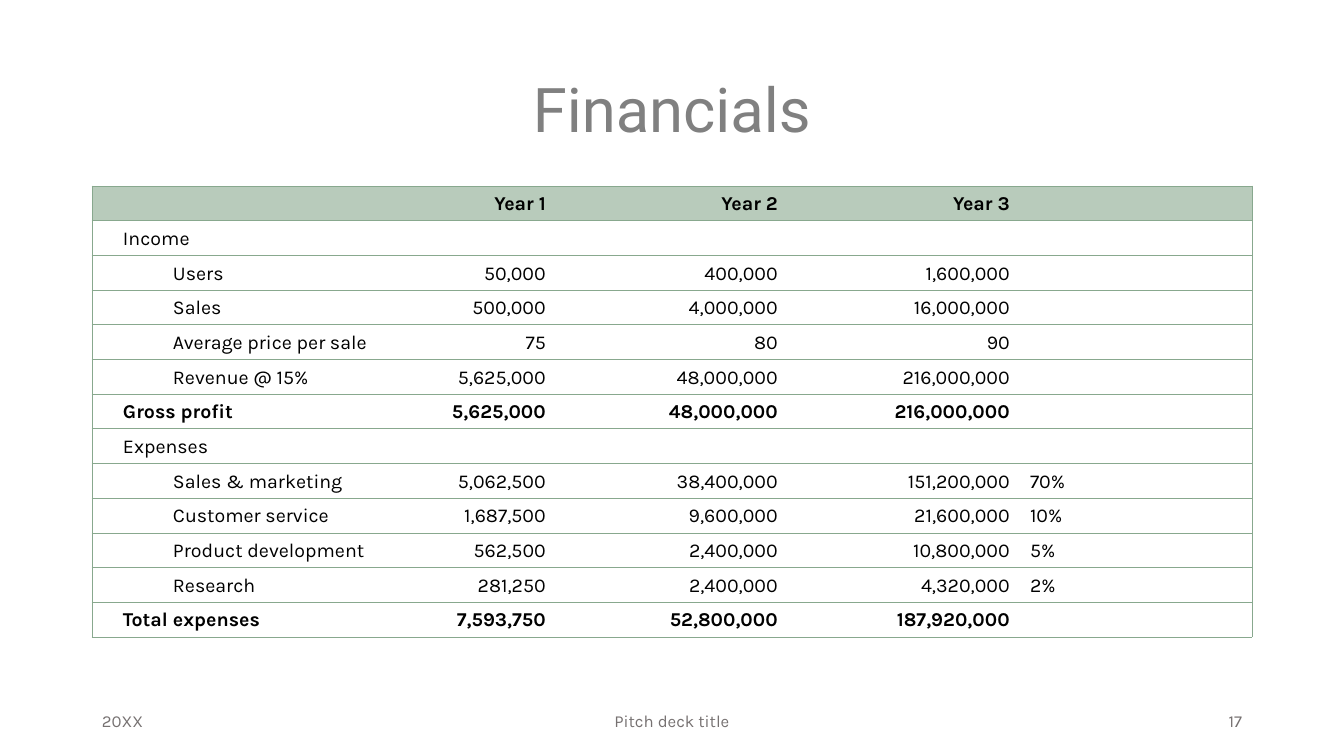
from dataclasses import dataclass

from lxml import etree
from pptx import Presentation
from pptx.dml.color import RGBColor
from pptx.enum.text import MSO_ANCHOR, PP_ALIGN
from pptx.oxml.ns import qn
from pptx.util import Pt

LEFT, CENTER, RIGHT = PP_ALIGN.LEFT, PP_ALIGN.CENTER, PP_ALIGN.RIGHT
MIDDLE, BOTTOM = MSO_ANCHOR.MIDDLE, MSO_ANCHOR.BOTTOM


@dataclass(frozen=True)
class Theme:
    title_font: str = "Roboto"
    body_font: str = "Karla"
    title_size: int = 44
    table_size: int = 14
    footer_size: int = 12
    title: str = "808080"
    text: str = "000000"
    footer: str = "767171"
    header_fill: str = "B8CBBB"
    body_fill: str = "FFFFFF"
    border: str = "88A88E"
    border_width: float = 0.5


THEME = Theme()
TITLE = "Financials"
HEADER, SECTION, ITEM, TOTAL = "header", "section", "item", "total"
FINANCIALS = [
    (HEADER, "", "Year 1", "Year 2", "Year 3", ""),
    (SECTION, "Income", "", "", "", ""),
    (ITEM, "Users", "50,000", "400,000", "1,600,000", ""),
    (ITEM, "Sales", "500,000", "4,000,000", "16,000,000", ""),
    (ITEM, "Average price per sale", "75", "80", "90", ""),
    (ITEM, "Revenue @ 15%", "5,625,000", "48,000,000", "216,000,000", ""),
    (TOTAL, "Gross profit", "5,625,000", "48,000,000", "216,000,000", ""),
    (SECTION, "Expenses", "", "", "", ""),
    (ITEM, "Sales & marketing", "5,062,500", "38,400,000", "151,200,000", "70%"),
    (ITEM, "Customer service", "1,687,500", "9,600,000", "21,600,000", "10%"),
    (ITEM, "Product development", "562,500", "2,400,000", "10,800,000", "5%"),
    (ITEM, "Research", "281,250", "2,400,000", "4,320,000", "2%"),
    (TOTAL, "Total expenses", "7,593,750", "52,800,000", "187,920,000", ""),
]
FOOTERS = [("20XX", 302, LEFT), ("Pitch deck title", 454, CENTER), ("17", 302, RIGHT)]

SLIDE_WIDTH, SLIDE_HEIGHT = 1344, 756
MARGIN = 92
CONTENT_WIDTH = SLIDE_WIDTH - 2 * MARGIN
TITLE_TOP, TITLE_HEIGHT = 40, 146
TABLE_TOP, TABLE_HEIGHT = 186, 451
COLUMN_WIDTHS = (302, 162, 232, 232, 232)
COLUMN_ALIGNS = (LEFT, RIGHT, RIGHT, RIGHT, LEFT)
LABEL_INSET, ITEM_INDENT = 31, 50
FOOTER_TOP, FOOTER_HEIGHT = 701, 40


def px(length):
    return round(length * 12192000 / SLIDE_WIDTH)


def add_span(para, text, font, size, color, bold=False):
    span = para.add_run()
    span.text = text
    span.font.name = font
    span.font.size = Pt(size)
    span.font.bold = bold
    span.font.color.rgb = RGBColor.from_string(color)


def set_border(cell, side, visible):
    properties = cell._tc.get_or_add_tcPr()
    width = str(Pt(THEME.border_width)) if visible else "0"
    line = etree.SubElement(properties, qn(f"a:ln{side}"), w=width)
    if visible:
        fill = etree.SubElement(line, qn("a:solidFill"))
        etree.SubElement(fill, qn("a:srgbClr"), val=THEME.border)
    else:
        etree.SubElement(line, qn("a:noFill"))


def fill_cell(cell, text, kind, column):
    last = len(COLUMN_WIDTHS) - 1
    borders = {"L": column == 0, "R": column == last, "T": True, "B": True}
    for side, visible in borders.items():
        set_border(cell, side, visible)
    cell.fill.solid()
    color = THEME.header_fill if kind == HEADER else THEME.body_fill
    cell.fill.fore_color.rgb = RGBColor.from_string(color)
    cell.vertical_anchor = BOTTOM
    para = cell.text_frame.paragraphs[0]
    para.alignment = COLUMN_ALIGNS[column]
    if column == 0:
        cell.margin_left = px(LABEL_INSET)
        if kind == ITEM:
            para.level = 1
            para._p.get_or_add_pPr().set("marL", str(px(ITEM_INDENT)))
    if text:
        add_span(para, text, THEME.body_font, THEME.table_size, THEME.text, kind in (HEADER, TOTAL))
    else:
        etree.SubElement(para._p, qn("a:endParaRPr"), sz=str(THEME.table_size * 100))


def add_title(slide):
    box = slide.shapes.title
    box.left, box.top = px(MARGIN), px(TITLE_TOP)
    box.width, box.height = px(CONTENT_WIDTH), px(TITLE_HEIGHT)
    box.text_frame.vertical_anchor = MIDDLE
    para = box.text_frame.paragraphs[0]
    para.alignment = CENTER
    para.line_spacing = 0.9
    add_span(para, TITLE, THEME.title_font, THEME.title_size, THEME.title)


def add_financials(slide):
    frame = slide.shapes.add_table(
        len(FINANCIALS), len(COLUMN_WIDTHS),
        px(MARGIN), px(TABLE_TOP), px(CONTENT_WIDTH), px(TABLE_HEIGHT))
    table = frame.table
    table.horz_banding = False
    for column, width in zip(table.columns, COLUMN_WIDTHS):
        column.width = px(width)
    for row_index, (kind, *texts) in enumerate(FINANCIALS):
        table.rows[row_index].height = px(TABLE_HEIGHT / len(FINANCIALS))
        for column_index, text in enumerate(texts):
            fill_cell(table.cell(row_index, column_index), text, kind, column_index)


def add_footers(slide):
    gap = (CONTENT_WIDTH - sum(width for _, width, _ in FOOTERS)) / (len(FOOTERS) - 1)
    left = MARGIN
    for text, width, align in FOOTERS:
        box = slide.shapes.add_textbox(px(left), px(FOOTER_TOP), px(width), px(FOOTER_HEIGHT))
        box.text_frame.word_wrap = True
        box.text_frame.vertical_anchor = MIDDLE
        para = box.text_frame.paragraphs[0]
        para.alignment = align
        add_span(para, text, THEME.body_font, THEME.footer_size, THEME.footer)
        left += width + gap


def main():
    deck = Presentation()
    deck.slide_width, deck.slide_height = px(SLIDE_WIDTH), px(SLIDE_HEIGHT)
    page = deck.slides.add_slide(deck.slide_layouts[5])
    add_title(page)
    add_financials(page)
    add_footers(page)
    deck.save("out.pptx")


if __name__ == "__main__":
    main()
